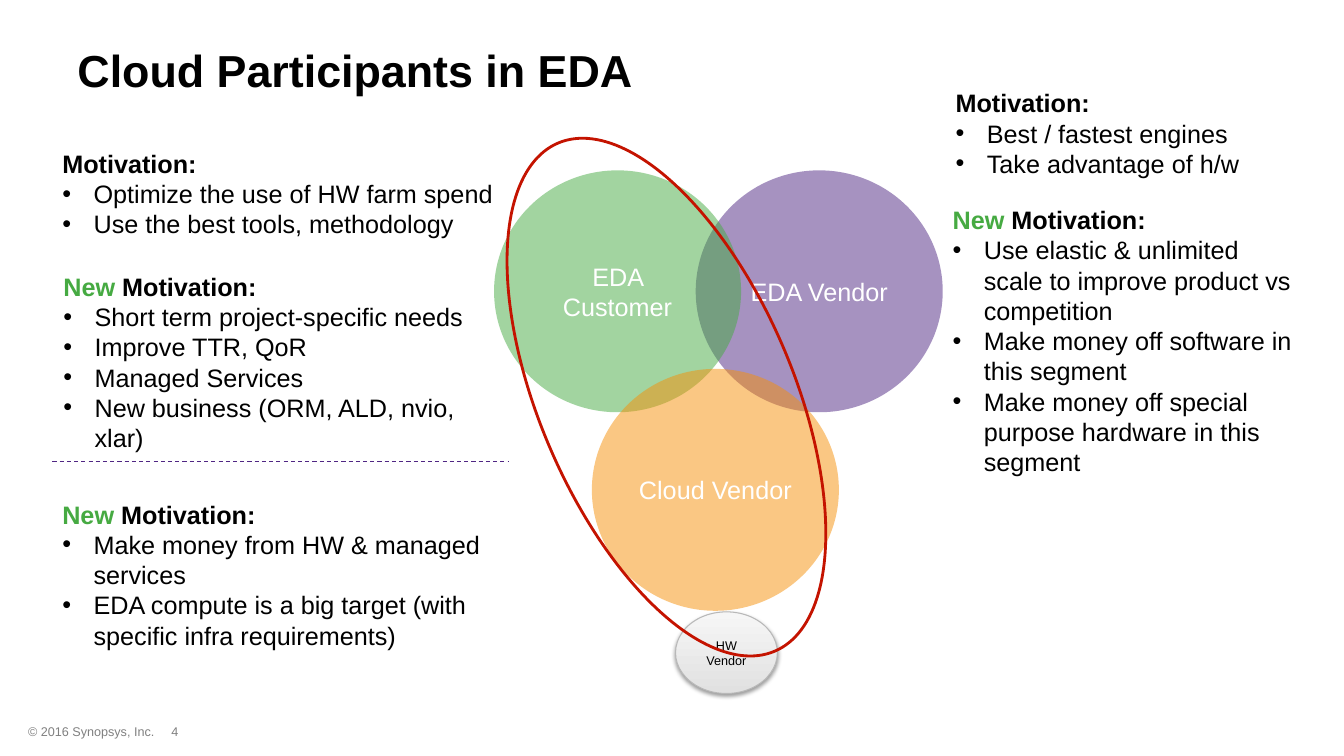
import pptx
import pptx.util
import pptx.dml.color
import pptx.enum.dml
import pptx.enum.shapes
import pptx.enum.text
import pptx.oxml.ns
from lxml import etree

Inches = pptx.util.Inches
Pt = pptx.util.Pt
RGBColor = pptx.dml.color.RGBColor
PP_ALIGN = pptx.enum.text.PP_ALIGN
MSO_ANCHOR = pptx.enum.text.MSO_ANCHOR
qn = pptx.oxml.ns.qn

BLACK = RGBColor(0x00, 0x00, 0x00)
WHITE = RGBColor(0xFF, 0xFF, 0xFF)
GRAY = RGBColor(0x80, 0x80, 0x80)
GREEN = RGBColor(0x46, 0xAA, 0x42)
PURPLE = RGBColor(0x4F, 0x26, 0x83)
ORANGE = RGBColor(0xF6, 0x90, 0x08)
RED = RGBColor(0xC4, 0x13, 0x00)
SILVER_DARK = RGBColor(0xE1, 0xE1, 0xE1)
SILVER_LIGHT = RGBColor(0xF6, 0xF6, 0xF6)
SILVER_EDGE = RGBColor(0xB8, 0xB8, 0xB8)


def add_run(paragraph, text, size, color=BLACK, bold=False):
    run = paragraph.add_run()
    run.text = text
    run.font.name = "Arial"
    run.font.size = Pt(size)
    run.font.bold = bold
    run.font.color.rgb = color


def add_text_frame(slide, box, wrap=True):
    text_frame = slide.shapes.add_textbox(*map(Inches, box)).text_frame
    text_frame.word_wrap = wrap
    return text_frame


def add_title(slide, box, text):
    text_frame = add_text_frame(slide, box)
    text_frame.vertical_anchor = MSO_ANCHOR.MIDDLE
    add_run(text_frame.paragraphs[0], text, 32, bold=True)


def add_footer(slide, box, text, align=PP_ALIGN.LEFT):
    paragraph = add_text_frame(slide, box).paragraphs[0]
    paragraph.alignment = align
    add_run(paragraph, text, 9, GRAY)


def add_motivation(slide, box, bullets, new=True, wrap=True):
    text_frame = add_text_frame(slide, box, wrap)
    heading = text_frame.paragraphs[0]
    if new:
        add_run(heading, "New", 18, GREEN, True)
    add_run(heading, " Motivation:" if new else "Motivation:", 18, bold=True)
    for bullet in bullets:
        paragraph = text_frame.add_paragraph()
        properties = paragraph._p.get_or_add_pPr()
        properties.set("marL", str(Inches(0.31)))
        properties.set("indent", str(-Inches(0.31)))
        etree.SubElement(properties, qn("a:buFont"), typeface="Arial")
        etree.SubElement(properties, qn("a:buChar"), char="•")
        add_run(paragraph, bullet, 18)


def add_ellipse(slide, box):
    ellipse = slide.shapes.add_shape(
        pptx.enum.shapes.MSO_SHAPE.OVAL, *map(Inches, box))
    ellipse.shadow.inherit = False
    return ellipse


def add_label(ellipse, text, size, color):
    text_frame = ellipse.text_frame
    text_frame.word_wrap = True
    text_frame.vertical_anchor = MSO_ANCHOR.MIDDLE
    paragraph = text_frame.paragraphs[0]
    paragraph.alignment = PP_ALIGN.CENTER
    add_run(paragraph, text, size, color)


def add_participant(slide, box, text, color):
    circle = add_ellipse(slide, box)
    circle.fill.solid()
    circle.fill.fore_color.rgb = color
    # Half transparent, so that overlaps show
    fill_color = circle._element.spPr.find(".//" + qn("a:srgbClr"))
    etree.SubElement(fill_color, qn("a:alpha"), val="50000")
    circle.line.fill.background()
    add_label(circle, text, 18, WHITE)


def add_hardware_vendor(slide, box):
    button = add_ellipse(slide, box)
    button.fill.gradient()
    button.fill.gradient_angle = 90
    for stop, color in zip(button.fill.gradient_stops, (SILVER_DARK, SILVER_LIGHT)):
        stop.color.rgb = color
    button.line.color.rgb = SILVER_EDGE
    button.line.width = Pt(0.75)
    # Soft shadow below
    effects = button._element.spPr.find(qn("a:effectLst"))
    shadow = etree.SubElement(
        effects, qn("a:outerShdw"), blurRad=str(Pt(3.1)), dist=str(Pt(1.6)),
        dir="5400000", rotWithShape="0")
    shadow_color = etree.SubElement(shadow, qn("a:srgbClr"), val="000000")
    etree.SubElement(shadow_color, qn("a:alpha"), val="38000")
    add_label(button, "HW Vendor", 9, BLACK)


def add_venn(slide, left, top):
    width, height = 2.45, 2.4
    participants = [
        ("EDA Vendor", PURPLE, 2, 0),
        ("EDA Customer", GREEN, 0, 0),
        ("Cloud Vendor", ORANGE, 0.97, 1.97),
    ]
    add_hardware_vendor(slide, (left + 1.8, top + 4.38, 1.01, 0.81))
    for text, color, across, down in participants:
        add_participant(slide, (left + across, top + down, width, height), text, color)


def add_highlight(slide, box):
    ring = add_ellipse(slide, box)
    ring.rotation = 336.9
    ring.fill.background()
    ring.line.color.rgb = RED
    ring.line.width = Pt(2)


def add_divider(slide, left, right, top):
    divider = slide.shapes.add_connector(
        pptx.enum.shapes.MSO_CONNECTOR.STRAIGHT,
        Inches(left), Inches(top), Inches(right), Inches(top))
    divider.line.color.rgb = PURPLE
    divider.line.width = Pt(0.75)
    divider.line.dash_style = pptx.enum.dml.MSO_LINE.DASH
    etree.SubElement(divider._element.spPr, qn("a:effectLst"))


def main():
    presentation = pptx.Presentation()
    presentation.slide_width = Inches(13.33)
    presentation.slide_height = Inches(7.5)
    slide = presentation.slides.add_slide(presentation.slide_layouts[6])

    # Footer and title
    add_footer(slide, (0.18, 7.13, 4.11, 0.25), "© 2016 Synopsys, Inc.")
    add_footer(slide, (1.27, 7.13, 0.93, 0.25), "4", PP_ALIGN.CENTER)
    add_title(slide, (0.67, 0.07, 12.67, 1.25), "Cloud Participants in EDA")

    # Overlapping participants
    add_venn(slide, 4.9, 1.69)
    add_highlight(slide, (5.35, 1.2, 2.52, 5.48))

    # Customer, above the divider
    add_motivation(slide, (0.52, 1.42, 4.52, 1.01), [
        "Optimize the use of HW farm spend",
        "Use the best tools, methodology",
    ], new=False)
    add_motivation(slide, (0.53, 2.64, 4.51, 1.92), [
        "Short term project-specific needs",
        "Improve TTR, QoR",
        "Managed Services",
        "New business (ORM, ALD, nvio, xlar)",
    ])
    add_divider(slide, 0.52, 5.04, 4.58)

    # Cloud vendor, below the divider
    add_motivation(slide, (0.52, 4.9, 4.84, 1.92), [
        "Make money from HW & managed services",
        "EDA compute is a big target (with specific infra requirements)",
    ])

    # EDA vendor, on the right
    add_motivation(slide, (9.38, 0.82, 3.04, 1.01), [
        "Best / fastest engines",
        "Take advantage of h/w",
    ], new=False, wrap=False)
    add_motivation(slide, (9.35, 1.98, 3.66, 2.83), [
        "Use elastic & unlimited scale to improve product vs competition",
        "Make money off software in this segment",
        "Make money off special purpose hardware in this segment",
    ])

    presentation.save("out.pptx")


if __name__ == "__main__":
    main()
